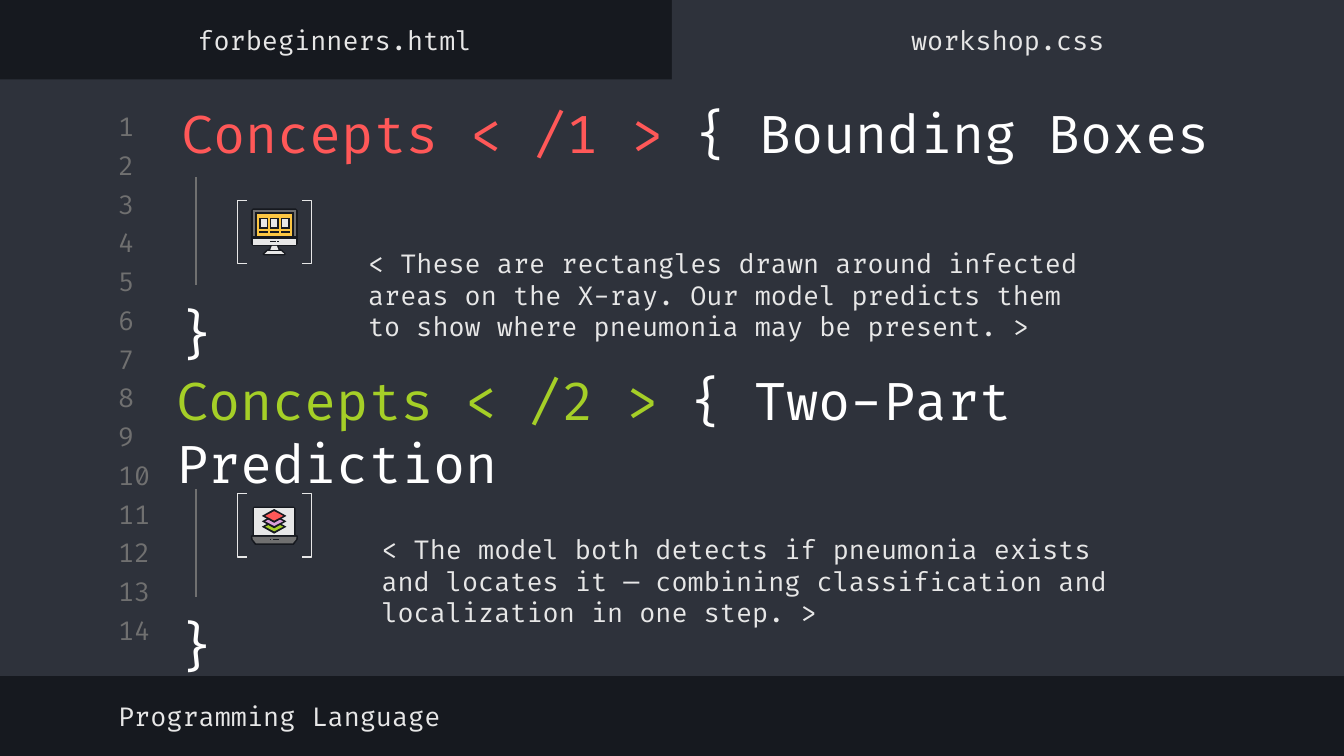
from pptx import Presentation
from pptx.dml.color import RGBColor
from pptx.enum.shapes import MSO_CONNECTOR, MSO_SHAPE
from pptx.enum.text import MSO_ANCHOR, PP_ALIGN
from pptx.oxml.ns import qn
from pptx.util import Pt
from lxml.etree import SubElement

INK = RGBColor(0x16, 0x19, 0x1F)
PANEL = RGBColor(0x2E, 0x32, 0x3B)
GRAY = RGBColor(0x70, 0x70, 0x70)
LIGHT = RGBColor(0xE7, 0xE7, 0xE7)
WHITE = RGBColor(0xFF, 0xFF, 0xFF)
RED = RGBColor(0xFF, 0x58, 0x58)
GREEN = RGBColor(0xA5, 0xCF, 0x27)
YELLOW = RGBColor(0xFC, 0xC6, 0x42)
PINK = RGBColor(0xDB, 0xA0, 0xDB)


def box(left, top, right, bottom):
    return [(left, top), (right, top), (right, bottom), (left, bottom)]


def diamond(x, y, half_width, half_height):
    return [(x, y - half_height), (x + half_width, y),
            (x, y + half_height), (x - half_width, y)]


class CodeSlide:
    """Draws the elements of a code-editor slide in one style."""

    font = "Fira Code"

    def __init__(self, slide):
        self.slide = slide
        self.shapes = slide.shapes
        slide.background.fill.solid()
        slide.background.fill.fore_color.rgb = INK

    def panel(self, left, top, width, height):
        panel = self.shapes.add_shape(
            MSO_SHAPE.RECTANGLE, Pt(left), Pt(top), Pt(width), Pt(height))
        panel.shadow.inherit = False
        panel.fill.solid()
        panel.fill.fore_color.rgb = PANEL
        panel.line.fill.background()

    def text(self, left, top, width, height, runs, size=14,
             align=PP_ALIGN.LEFT, anchor=MSO_ANCHOR.MIDDLE):
        frame = self.shapes.add_textbox(
            Pt(left), Pt(top), Pt(width), Pt(height)).text_frame
        frame.word_wrap = True
        frame.vertical_anchor = anchor
        frame.margin_left = frame.margin_right = Pt(7.2)
        frame.margin_top = frame.margin_bottom = Pt(7.2)
        paragraph = frame.paragraphs[0]
        paragraph.alignment = align
        for wording, color in runs:
            run = paragraph.add_run()
            run.text = wording
            run.font.name = self.font
            run.font.size = Pt(size)
            run.font.color.rgb = color

    def brackets(self, top):
        for preset, left in ((MSO_SHAPE.LEFT_BRACKET, 127.4),
                             (MSO_SHAPE.RIGHT_BRACKET, 162)):
            bracket = self.shapes.add_shape(
                preset, Pt(left), Pt(top), Pt(5), Pt(34))
            bracket.adjustments[0] = 0
            bracket.shadow.inherit = False
            bracket.fill.background()
            bracket.line.color.rgb = LIGHT
            bracket.line.width = Pt(0.75)

    def block_end(self, top):
        rule = self.shapes.add_connector(
            MSO_CONNECTOR.STRAIGHT, Pt(105.1), Pt(top), Pt(105.1), Pt(top + 57.5))
        rule.line.color.rgb = GRAY
        rule.line.width = Pt(0.75)
        SubElement(rule._element.spPr, qn("a:effectLst"))
        self.text(85.7, top + 59, 39.6, 48.2, [("}", WHITE)], 28,
                  PP_ALIGN.CENTER, MSO_ANCHOR.TOP)

    def icon(self, left, top, parts):
        group = self.shapes.add_group_shape()
        for color, outline in parts:
            points = [(Pt(left + x), Pt(top + y)) for x, y in outline]
            builder = group.shapes.build_freeform(*points[0], scale=1.0)
            builder.add_line_segments(points[1:], close=True)
            part = builder.convert_to_shape()
            part.shadow.inherit = False
            part.fill.solid()
            part.fill.fore_color.rgb = color
            part.line.fill.background()


def monitor_parts():
    parts = [
        (INK, [(1.2, 0), (24, 0), (25.2, 1.2), (25.2, 19), (24, 20.2),
               (15, 20.2), (15.2, 21.5), (16.8, 22.3), (18.8, 24.5), (18, 25.2),
               (7, 25.2), (6.2, 24.5), (8.4, 22.3), (10, 21.5), (10.3, 20.2),
               (1.2, 20.2), (0, 19), (0, 1.2)]),
        (GRAY, box(0.9, 0.7, 24.2, 15.1)),
        (INK, box(2.2, 2, 22.9, 15.1)),
        (YELLOW, box(3.1, 2.9, 22, 15.1)),
        (LIGHT, box(0.9, 16.4, 24.2, 19.5)),
        (LIGHT, [(11.2, 20.2), (14, 20.2), (14.8, 22.3), (10.4, 22.3)]),
        (LIGHT, [(8.9, 23), (16.4, 23), (17.8, 24.4), (7.4, 24.4)]),
        (INK, box(10.4, 17.4, 13.6, 18.2)),
        (INK, box(14.2, 17.4, 15, 18.2)),
    ]
    for column in range(3):
        x = 4.4 + 5.8 * column
        parts += [(INK, box(x, 5, x + 4.9, 11)),
                  (LIGHT, box(x + 0.8, 5.8, x + 4.1, 10.2)),
                  (INK, box(x, 12.1, x + 4.9, 13))]
    return parts


def laptop_parts():
    parts = [
        (INK, [(1.6, 0), (23, 0), (24, 1), (24, 15.2), (25.2, 15.6),
               (25.2, 17.5), (23, 20.5), (2.2, 20.5), (0, 17.5), (0, 15.6),
               (1, 15.2), (1, 1)]),
        (LIGHT, box(1.8, 0.8, 23.2, 15.2)),
        (GRAY, [(0.8, 16.3), (24.4, 16.3), (24.2, 17.6), (22.4, 19.7),
                (2.8, 19.7), (1, 17.6)]),
        (INK, box(10.2, 17.4, 11, 18.2)),
        (INK, box(11.7, 17.4, 15, 18.2)),
    ]
    for layer, color in enumerate((GREEN, PINK, RED)):
        y = 10.8 - 2.9 * layer
        parts += [(INK, diamond(12.5, y, 6.6, 3.7)),
                  (color, diamond(12.5, y, 4.8, 2.5))]
    return parts


def main():
    deck = Presentation()
    deck.slide_width, deck.slide_height = Pt(720), Pt(405)
    page = CodeSlide(deck.slides.add_slide(deck.slide_layouts[6]))
    page.panel(0, 42.5, 720, 319.7)
    page.panel(360, 0, 360, 46.8)
    for number in range(1, 15):
        page.text(56.2, 59 + 20.75 * (number - 1), 33.8, 17.3,
                  [(str(number), GRAY)])

    page.text(190.1, 116.6, 404.6, 82.8, [(
        "< These are rectangles drawn around infected areas on the X-ray. "
        "Our model predicts them to show where pneumonia may be present. >",
        LIGHT)])
    page.text(197.3, 269.3, 404.6, 83.5, [(
        "< The model both detects if pneumonia exists and locates it — "
        "combining classification and localization in one step. >", LIGHT)])
    page.text(87.4, 208.8, 640, 44.6, [
        ("Concepts < /2 > ", GREEN), ("{ Two-Part Prediction", WHITE)], 28)
    page.text(90, 59.8, 581.8, 22.3, [
        ("Concepts < /1 > ", RED), ("{ Bounding Boxes", WHITE)], 28)

    page.icon(134.4, 111.6, monitor_parts())
    page.icon(134.4, 271.4, laptop_parts())
    page.text(56.2, 369.4, 383, 28.1, [("Programming Language", LIGHT)])
    for left, tab in ((-0.7, "forbeginners.html"), (360, "workshop.css")):
        page.text(left, 7.2, 360, 28.1, [(tab, LIGHT)], align=PP_ALIGN.CENTER)
    for bracket_top, rule_top in ((107.3, 95.1), (264.5, 262.2)):
        page.brackets(bracket_top)
        page.block_end(rule_top)
    deck.save("out.pptx")


if __name__ == "__main__":
    main()
